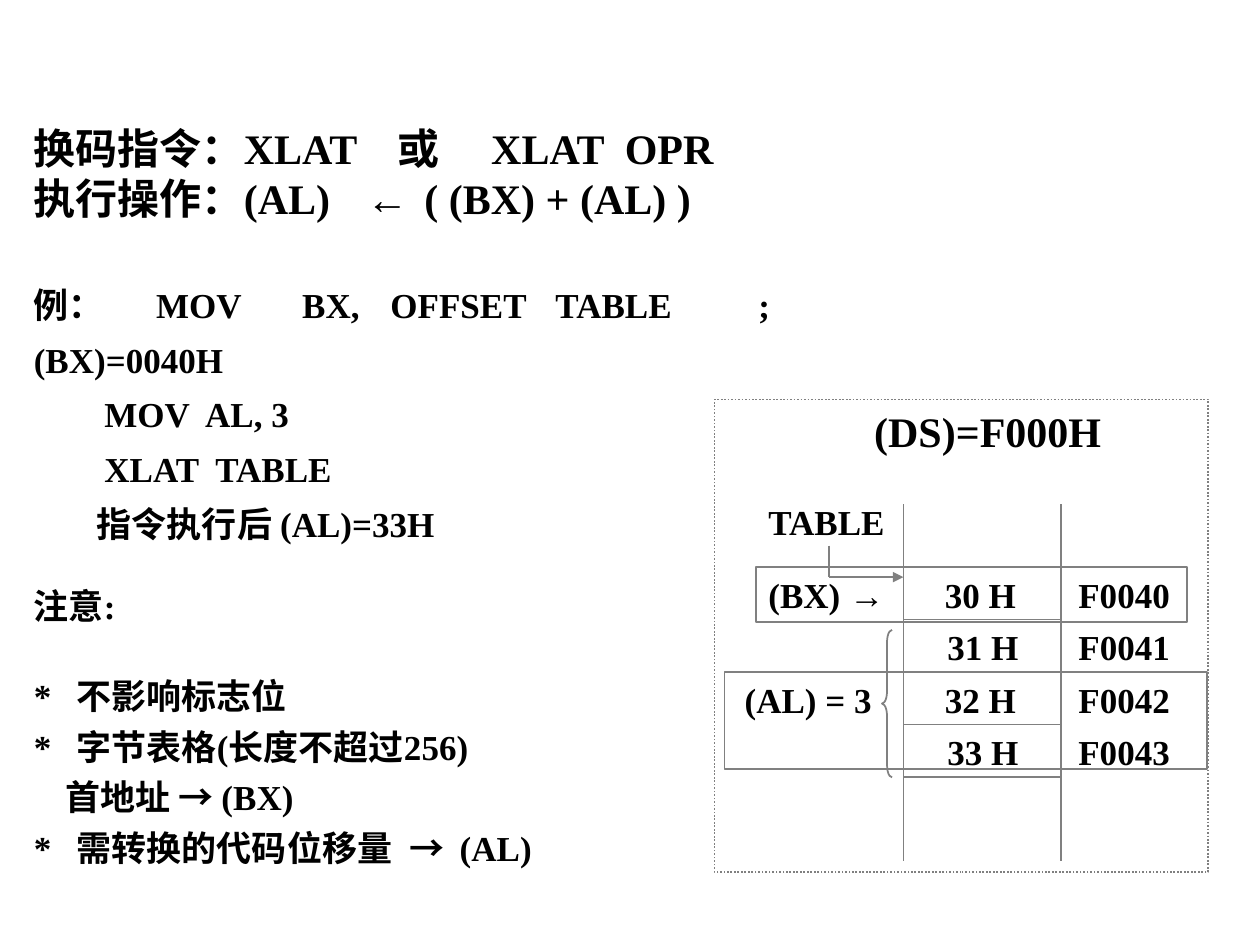
from itertools import groupby

from lxml.etree import SubElement
from pptx import Presentation
from pptx.dml.color import RGBColor
from pptx.enum.dml import MSO_LINE_DASH_STYLE as Dash
from pptx.enum.shapes import MSO_CONNECTOR as Connector, MSO_SHAPE as Shape
from pptx.enum.text import MSO_ANCHOR as Anchor, PP_ALIGN as Align
from pptx.oxml.ns import qn
from pptx.util import Inches, Pt

INK = "000000"
GRAY = "808080"
ARROWS = "←→"
CELL_LEFT, CELL_RIGHT = 7.17, 8.42
CELL_TEXT, ADDRESS_TEXT = 7.5, 8.56
ROW_TOP, ROW_STEP, ROW_COUNT = 4.5, 1.25 / 3, 4


def color(hex_text):
    return RGBColor.from_string(hex_text)


def write(para, text, size, stops=(), indent=0):
    para.alignment = Align.LEFT
    properties = para._p.get_or_add_pPr()
    if indent:
        properties.set("marL", str(Inches(indent)))
        properties.set("indent", "0")
    if stops:
        tab_list = SubElement(properties, qn("a:tabLst"))
        for stop in stops:
            SubElement(tab_list, qn("a:tab"), pos=str(Inches(stop)), algn="l")
    for is_arrow, letters in groupby(text, lambda letter: letter in ARROWS):
        span = para.add_run()
        span.text = "".join(letters)
        span.font.name = "Arial" if is_arrow else "Times New Roman"
        span.font.size = Pt(size)
        span.font.bold = True
        span.font.color.rgb = color(INK)


def add_text(slide, left, top, width, height, text, size=20, stops=()):
    box = slide.shapes.add_textbox(
        Inches(left), Inches(top), Inches(width), Inches(height))
    box.text_frame.word_wrap = False
    write(box.text_frame.paragraphs[0], text, size, stops)


def add_outline(slide, kind, left, top, width, height):
    shape = slide.shapes.add_shape(
        kind, Inches(left), Inches(top), Inches(width), Inches(height))
    shape.shadow.inherit = False
    shape.fill.background()
    shape.line.color.rgb = color(GRAY)
    shape.line.width = Pt(1)
    return shape


def add_framed_row(slide, left, top, width, height, text, indent=0):
    frame = add_outline(slide, Shape.RECTANGLE, left, top, width, height)
    frame.text_frame.vertical_anchor = Anchor.TOP
    frame.text_frame.margin_left = Inches(0.1 + indent)
    start = left + 0.1 + indent
    write(frame.text_frame.paragraphs[0], text, 20,
          [CELL_TEXT - start, ADDRESS_TEXT - start])


def add_line(slide, x1, y1, x2, y2, arrow=False):
    line = slide.shapes.add_connector(
        Connector.STRAIGHT, Inches(x1), Inches(y1), Inches(x2), Inches(y2))
    line.line.color.rgb = color(GRAY)
    line.line.width = Pt(1)
    if arrow:
        SubElement(line.line._get_or_add_ln(), qn("a:tailEnd"), type="triangle")
    SubElement(line._element.spPr, qn("a:effectLst"))


def add_explanation(slide):
    code_stops = [0.56, 1.36]
    bullet_stops = [0.34, 2.98, 3.38]
    paragraphs = [
        ("换码指令：XLAT\t或\tXLAT\tOPR", 24, 1, 0, [2.89, 3.63, 4.69], 0),
        ("执行操作：(AL)\t←\t( (BX) + (AL) )", 24, 1, 0, [2.64, 3.1], 0),
        ("例：\tMOV\tBX,\tOFFSET\tTABLE\t; (BX)=0040H", 20, 1.3, 27.5,
         [0.97, 2.13, 2.83, 4.14, 5.75], 0),
        ("\tMOV\tAL, 3", 20, 1.3, 0, code_stops, 0),
        ("\tXLAT\tTABLE", 20, 1.3, 0, [0.56, 1.44], 0),
        ("指令执行后 (AL)=33H", 20, 1.3, 0, (), 0.5),
        ("注意:", 20, 1, 23, (), 0),
        ("*\t不影响标志位", 20, 1.2, 23, bullet_stops, 0),
        ("*\t字节表格(长度不超过256)", 20, 1.2, 0, bullet_stops, 0),
        ("首地址 → (BX)", 20, 1.2, 0, (), 0.25),
        ("*\t需转换的代码位移量\t→\t(AL)", 20, 1.2, 0, bullet_stops, 0),
    ]
    box = slide.shapes.add_textbox(
        Inches(0.17), Inches(0.92), Inches(6.08), Inches(6.07))
    frame = box.text_frame
    frame.word_wrap = True
    for index, (text, size, spacing, before, stops, indent) in enumerate(paragraphs):
        para = frame.add_paragraph() if index else frame.paragraphs[0]
        para.line_spacing = float(spacing)
        para.space_before = Pt(before)
        write(para, text, size, stops, indent)


def add_memory_diagram(slide):
    for x in (CELL_LEFT, CELL_RIGHT):
        add_line(slide, x, 4, x, 6.83)
    rows = [ROW_TOP + index * ROW_STEP for index in range(ROW_COUNT + 1)]
    for y in rows:
        add_line(slide, CELL_LEFT, y, CELL_RIGHT, y)

    address_stop = [ADDRESS_TEXT - 7.52]
    add_framed_row(slide, 6, rows[0], 3.42, 0.44, "(BX) →\t30 H\tF0040")
    add_text(slide, 7.42, rows[1], 1.98, 0.44, "31 H\tF0041", stops=address_stop)
    add_framed_row(slide, 5.75, rows[2], 3.83, 0.77,
                   "(AL) = 3\t32 H\tF0042", indent=0.06)
    add_text(slide, 7.42, rows[3], 2.17, 0.44, "33 H\tF0043", stops=address_stop)

    brace = add_outline(slide, Shape.LEFT_BRACE, 7, 5, 0.08, 1.17)
    brace.adjustments[0] = 1.2
    add_line(slide, 6.58, 4.33, 6.58, 4.58)
    add_line(slide, 6.58, 4.58, CELL_LEFT, 4.58, arrow=True)
    add_text(slide, 6, 3.92, 1.14, 0.44, "TABLE")
    add_text(slide, 6.84, 3.17, 2, 0.5, "(DS)=F000H", size=24)
    border = add_outline(slide, Shape.RECTANGLE, 5.67, 3.17, 3.92, 3.75)
    border.line.dash_style = Dash.ROUND_DOT


def main():
    deck = Presentation()
    deck.slide_width, deck.slide_height = Inches(10), Inches(7.5)
    slide = deck.slides.add_slide(deck.slide_layouts[6])
    add_memory_diagram(slide)
    add_explanation(slide)
    deck.save("out.pptx")


if __name__ == "__main__":
    main()
